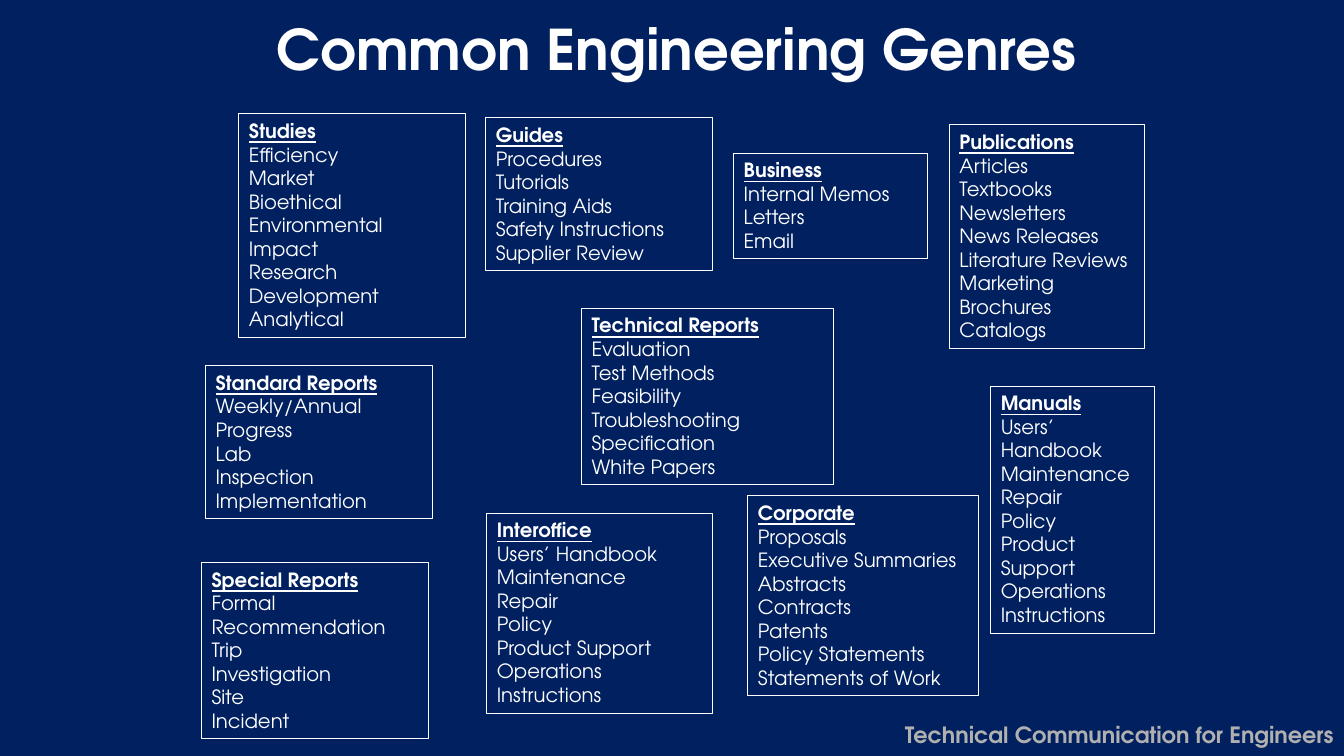
from dataclasses import dataclass

from pptx import Presentation
from pptx.dml.color import RGBColor
from pptx.enum.shapes import MSO_SHAPE
from pptx.enum.text import MSO_ANCHOR, MSO_AUTO_SIZE, PP_ALIGN
from pptx.util import Inches, Pt

RECTANGLE = MSO_SHAPE.RECTANGLE
TOP = MSO_ANCHOR.TOP
GROW = MSO_AUTO_SIZE.SHAPE_TO_FIT_TEXT
LEFT, CENTER, RIGHT = PP_ALIGN.LEFT, PP_ALIGN.CENTER, PP_ALIGN.RIGHT

SLIDE_WIDTH, SLIDE_HEIGHT = Inches(13.33), Inches(7.5)


@dataclass(frozen=True)
class Theme:
    font: str = "TeX Gyre Adventor"
    background: RGBColor = RGBColor(0x00, 0x20, 0x60)
    ink: RGBColor = RGBColor(0xFF, 0xFF, 0xFF)
    muted: RGBColor = RGBColor(0xB0, 0xB0, 0xB0)
    title_size: int = 40
    genre_size: int = 14
    footer_size: int = 16
    border: float = 0.75


THEME = Theme()

# Box heights follow the number of text lines, in percent of slide height
LINE_HEIGHT, BOX_PADDING = 3.14, 1.33

# Left, top and width in percent of the slide; number of wrapped items; heading; items
GENRES = [
    (17.78, 15.07, 16.88, 1, "Studies",
     ["Efficiency", "Market", "Bioethical", "Environmental Impact", "Research",
      "Development", "Analytical"]),
    (36.15, 15.6, 16.88, 0, "Guides",
     ["Procedures", "Tutorials", "Training Aids", "Safety Instructions",
      "Supplier Review"]),
    (73.73, 51.07, 12.15, 2, "Manuals",
     ["Users’ Handbook", "Maintenance", "Repair", "Policy", "Product Support",
      "Operations", "Instructions"]),
    (15.3, 48.4, 16.88, 0, "Standard Reports",
     ["Weekly/Annual", "Progress", "Lab", "Inspection", "Implementation"]),
    (15, 74.4, 16.88, 0, "Special Reports",
     ["Formal", "Recommendation", "Trip", "Investigation", "Site", "Incident"]),
    (43.28, 40.8, 18.75, 0, "Technical Reports",
     ["Evaluation", "Test Methods", "Feasibility", "Troubleshooting",
      "Specification", "White Papers"]),
    (70.65, 16.53, 14.48, 1, "Publications",
     ["Articles", "Textbooks", "Newsletters", "News Releases",
      "Literature Reviews", "Marketing Brochures", "Catalogs"]),
    (55.65, 65.6, 17.18, 0, "Corporate",
     ["Proposals", "Executive Summaries", "Abstracts", "Contracts", "Patents",
      "Policy Statements", "Statements of Work"]),
    (36.23, 67.87, 16.8, 0, "Interoffice",
     ["Users’ Handbook", "Maintenance", "Repair", "Policy", "Product Support",
      "Operations", "Instructions"]),
    (54.6, 20.27, 14.4, 0, "Business",
     ["Internal Memos", "Letters", "Email"]),
]


def place(left, top, width, height):
    """Turn percentages of the slide into lengths."""
    return (round(SLIDE_WIDTH * left / 100), round(SLIDE_HEIGHT * top / 100),
            round(SLIDE_WIDTH * width / 100), round(SLIDE_HEIGHT * height / 100))


def add_text(paragraph, text, size, color, align=LEFT, bold=False, underline=False):
    paragraph.alignment = align
    run = paragraph.add_run()
    run.text = text
    run.font.name = THEME.font
    run.font.size = Pt(size)
    run.font.color.rgb = color
    run.font.bold = bold
    run.font.underline = underline


def add_label(slide, area, text, size, color, align, wrap=True):
    label = slide.shapes.add_textbox(*place(*area)).text_frame
    label.word_wrap = wrap
    label.auto_size = GROW
    add_text(label.paragraphs[0], text, size, color, align, bold=True)


def add_genre(slide, left, top, width, wrapped, heading, items):
    height = BOX_PADDING + LINE_HEIGHT * (1 + len(items) + wrapped)
    box = slide.shapes.add_shape(RECTANGLE, *place(left, top, width, height))
    box.shadow.inherit = False
    box.fill.background()
    box.line.color.rgb = THEME.ink
    box.line.width = Pt(THEME.border)

    listing = box.text_frame
    listing.word_wrap = True
    listing.auto_size = GROW
    listing.vertical_anchor = TOP
    add_text(listing.paragraphs[0], heading, THEME.genre_size, THEME.ink,
             bold=True, underline=True)
    for item in items:
        add_text(listing.add_paragraph(), item, THEME.genre_size, THEME.ink)


def main():
    deck = Presentation()
    deck.slide_width, deck.slide_height = SLIDE_WIDTH, SLIDE_HEIGHT
    slide = deck.slides.add_slide(deck.slide_layouts[6])
    slide.background.fill.solid()
    slide.background.fill.fore_color.rgb = THEME.background

    # Title
    add_label(slide, (15.53, 1.33, 69.6, 10.27), "Common Engineering Genres",
              THEME.title_size, THEME.ink, CENTER)

    # Genre boxes
    for genre in GENRES:
        add_genre(slide, *genre)

    # Course name in the corner
    add_label(slide, (66, 94.67, 33.98, 4.93), "Technical Communication for Engineers",
              THEME.footer_size, THEME.muted, RIGHT, wrap=False)

    deck.save("out.pptx")


if __name__ == "__main__":
    main()
